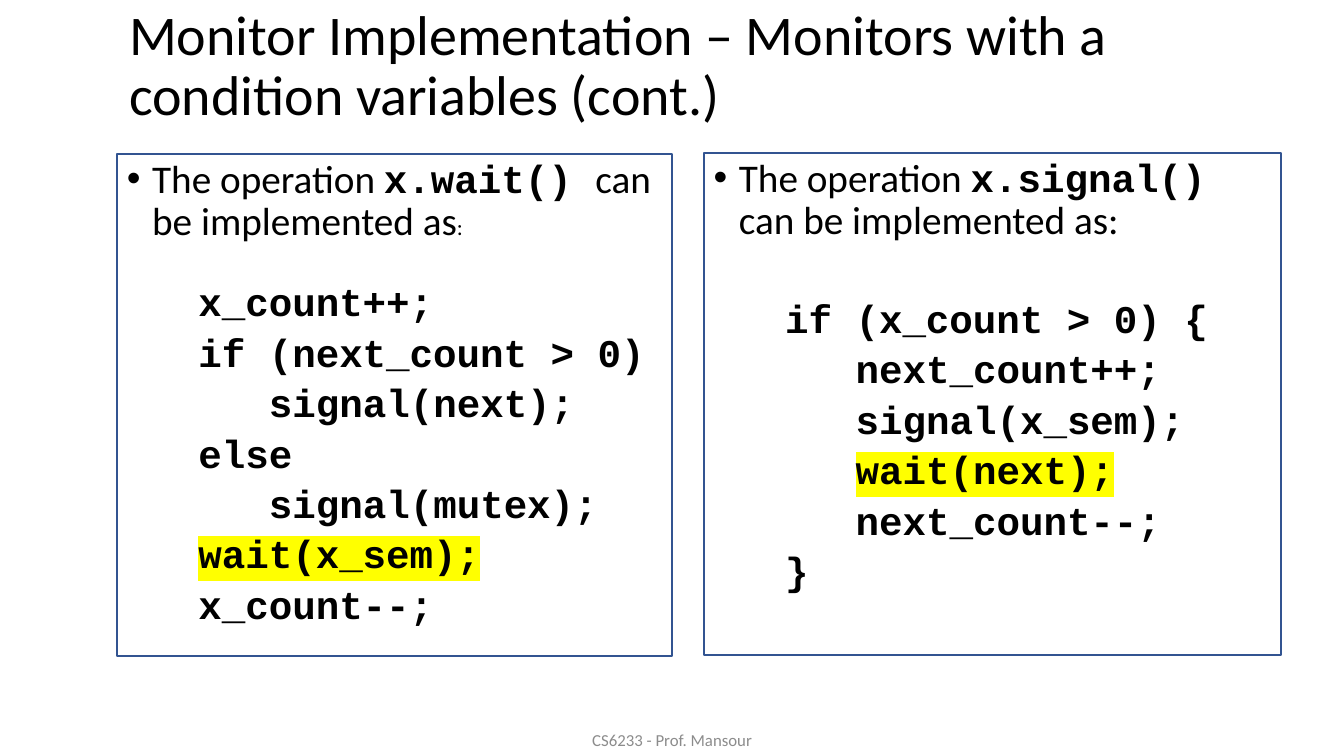
from lxml.etree import SubElement
from pptx import Presentation
from pptx.dml.color import RGBColor
from pptx.enum.text import MSO_ANCHOR, MSO_AUTO_SIZE, PP_ALIGN
from pptx.oxml.ns import qn
from pptx.util import Pt

TITLE = "Monitor Implementation – Monitors with a condition variables (cont.)"
FOOTER = "CS6233 - Prof. Mansour"
PANELS = [
    {
        "box": (83.5, 110.2, 396.7, 358.5),
        "lead": [("The operation ", {}), ("x.wait() ", {"code": True}),
                 ("can be implemented as", {}), (":", {"size": 16})],
        "gap": 27.8,
        "code": [(0, "x_count++;"), (0, "if (next_count > 0)"),
                 (1, "signal(next);"), (0, "else"), (1, "signal(mutex);"),
                 (0, "wait(x_sem);"), (0, "x_count--;")],
        "marked": "wait(x_sem);",
    },
    {
        "box": (502.6, 109.4, 412.6, 358.5),
        "lead": [("The operation ", {}), ("x.signal() ", {"code": True}),
                 ("can be implemented as:", {})],
        "gap": 40.6,
        "code": [(0, "if (x_count > 0) {"), (1, "next_count++;"),
                 (1, "signal(x_sem);"), (1, "wait(next);"),
                 (1, "next_count--;"), (0, "}")],
        "marked": "wait(next);",
    },
]
CODE_LEFT, CODE_STEP, CODE_GAP = 51, 50.4, 5.75


def rgb(value):
    return RGBColor.from_string(value)


def place(sp, left, top, width, height):
    sp.left, sp.top, sp.width, sp.height = map(Pt, (left, top, width, height))
    tf = sp.text_frame
    tf.word_wrap = True
    tf.auto_size = MSO_AUTO_SIZE.NONE
    return tf


def add_text(p, text, size=28, color="000000", code=False, highlight=None):
    r = p.add_run()
    r.text = text
    r.font.size = Pt(size)
    r.font.bold = code
    r.font.color.rgb = rgb(color)
    r.font.name = "Courier New" if code else "Calibri"
    if highlight:
        rPr = r.font._element
        mark = SubElement(rPr, qn("a:highlight"))
        SubElement(mark, qn("a:srgbClr"), val=highlight)
        rPr.find(qn("a:latin")).addprevious(mark)


def format_paragraph(p, margin, indent, before, bullet):
    p.line_spacing = 0.9
    p.space_before = Pt(before)
    pPr = p._p.get_or_add_pPr()
    pPr.set("marL", str(Pt(margin)))
    pPr.set("indent", str(Pt(indent)))
    if bullet:
        SubElement(pPr, qn("a:buFont"), typeface="Arial")
        SubElement(pPr, qn("a:buChar"), char="•")
    else:
        SubElement(pPr, qn("a:buNone"))


def fill_panel(sp, panel):
    tf = place(sp, *panel["box"])
    tf.vertical_anchor = MSO_ANCHOR.TOP
    sp.line.color.rgb = rgb("325491")
    sp.line.width = Pt(1.5)
    p = tf.paragraphs[0]
    format_paragraph(p, 18, -18, 0, True)
    for text, style in panel["lead"]:
        add_text(p, text, **style)
    for i, (level, text) in enumerate(panel["code"]):
        p = tf.add_paragraph()
        before = CODE_GAP if i else panel["gap"]
        format_paragraph(p, CODE_LEFT + level * CODE_STEP, 0, before, False)
        marked = "FFFF00" if text == panel["marked"] else None
        add_text(p, text, code=True, highlight=marked)


def main():
    prs = Presentation()
    prs.slide_width, prs.slide_height = Pt(960), Pt(540)
    s = prs.slides.add_slide(prs.slide_layouts[3])
    title, *bodies = s.placeholders

    tf = place(title, 85, 12.2, 768, 72)
    tf.vertical_anchor = MSO_ANCHOR.MIDDLE
    p = tf.paragraphs[0]
    p.alignment = PP_ALIGN.LEFT
    p.line_spacing = 0.9
    add_text(p, TITLE, size=40)

    for sp, panel in zip(bodies, PANELS):
        fill_panel(sp, panel)

    footer = s.shapes.add_textbox(0, 0, 0, 0)
    tf = place(footer, 318.2, 514.1, 324, 28.8)
    tf.vertical_anchor = MSO_ANCHOR.MIDDLE
    p = tf.paragraphs[0]
    p.alignment = PP_ALIGN.CENTER
    add_text(p, FOOTER, size=12, color="8C8C8C")

    prs.save("out.pptx")


if __name__ == "__main__":
    main()
